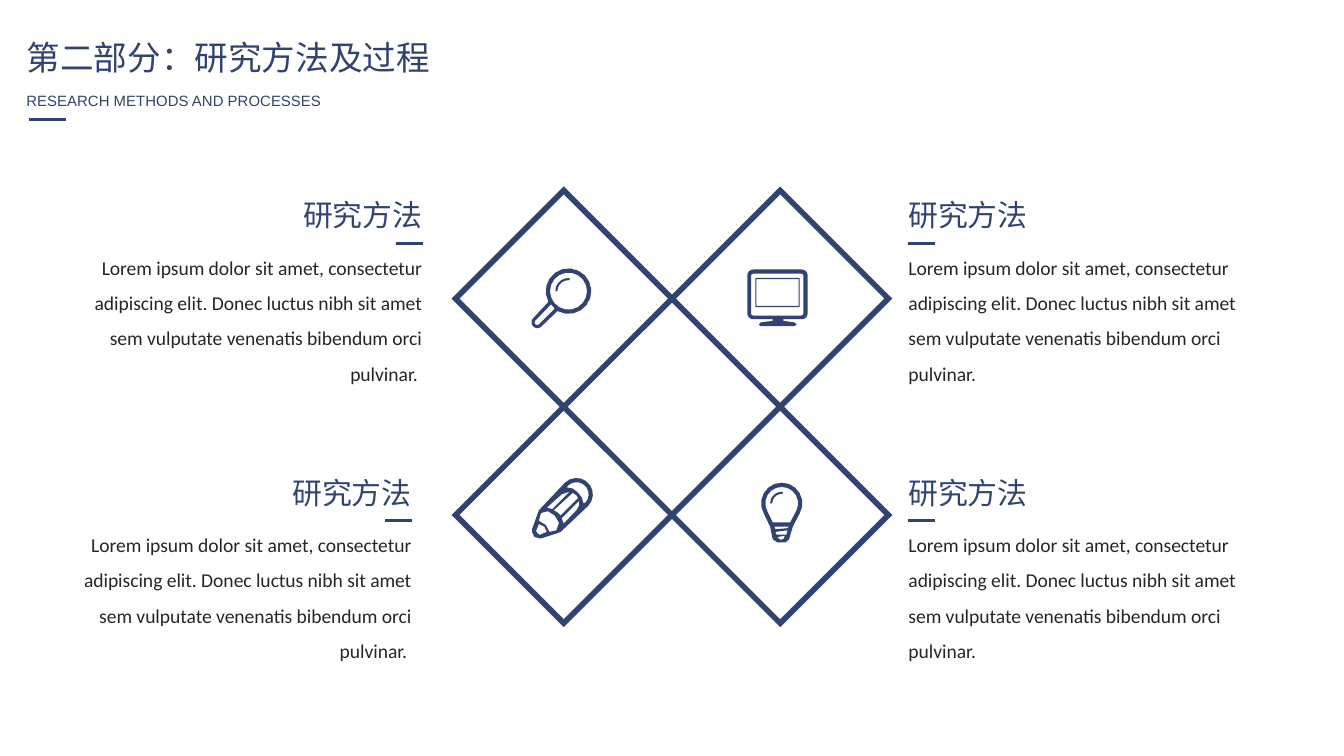
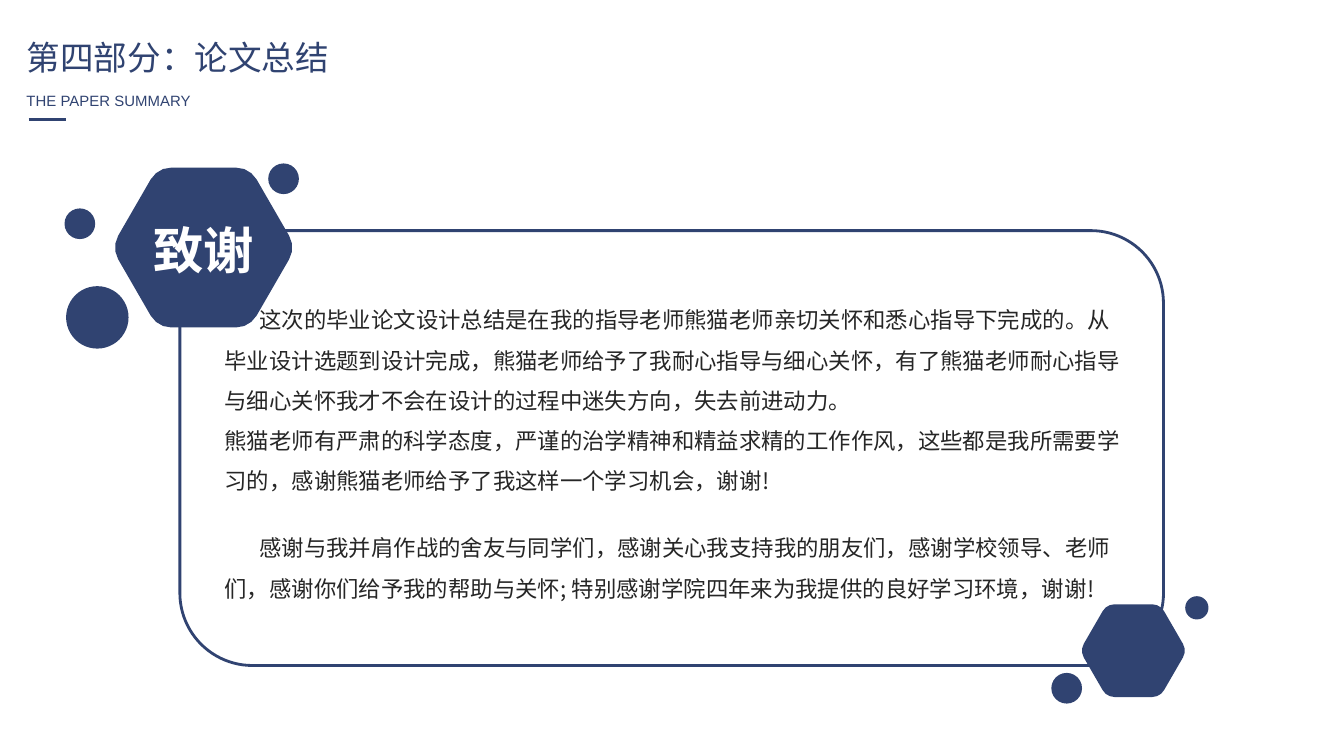
"""Builds two thesis slides: research methods and acknowledgements."""
from dataclasses import dataclass
from itertools import product
from math import cos, radians, sin

from lxml.etree import SubElement
from pptx import Presentation
from pptx.dml.color import RGBColor
from pptx.enum.shapes import MSO_CONNECTOR as Connector, MSO_SHAPE as Preset
from pptx.enum.text import MSO_ANCHOR as Anchor, MSO_AUTO_SIZE as AutoSize, PP_ALIGN as Align
from pptx.oxml.ns import qn
from pptx.shapes.autoshape import Shape
from pptx.slide import Slide
from pptx.util import Cm, Pt

Contour = list[tuple[float, float]]


@dataclass(frozen=True)
class Style:
    size: float
    face: str
    color: RGBColor
    bold: bool = False
    spacing: float = 1.0


@dataclass(frozen=True)
class Theme:
    navy = RGBColor(0x30, 0x43, 0x71)
    ink = RGBColor(0x26, 0x26, 0x26)
    white = RGBColor(0xFF, 0xFF, 0xFF)
    cjk = "Noto Sans CJK SC"
    title = Style(18, cjk, navy)
    subtitle = Style(8, "Arial", navy)
    heading = Style(16, cjk, navy)
    detail = Style(10.5, "Calibri", ink, spacing=1.5)
    essay = Style(12, cjk, ink, spacing=1.5)
    badge = Style(27, "Roboto Condensed", white, bold=True)
    rule_width = 1.5
    frame_width = 3


THEME = Theme()


@dataclass(frozen=True)
class Box:
    left: float
    top: float
    width: float
    height: float


@dataclass(frozen=True)
class Header:
    title: str
    title_width: float
    subtitle: str
    subtitle_width: float


@dataclass(frozen=True)
class Method:
    left: float
    top: float
    align: Align


@dataclass(frozen=True)
class Dot:
    left: float
    top: float
    size: float


@dataclass(frozen=True)
class Passage:
    box: Box
    paragraphs: list[str]


def arc(x: float, y: float, radius: float, start: float, end: float) -> Contour:
    """Return points about every 20 degrees along a circular arc."""
    steps = max(1, round(abs(end - start) / 20))
    angles = [radians(start + (end - start) * i / steps) for i in range(steps + 1)]
    return [(x + radius * cos(a), y + radius * sin(a)) for a in angles]


def rounded(left: float, top: float, right: float, bottom: float, radius: float) -> Contour:
    """Return the outline of a rectangle with rounded corners."""
    corners = [(right - radius, bottom - radius), (left + radius, bottom - radius),
               (left + radius, top + radius), (right - radius, top + radius)]
    return [point for i, (x, y) in enumerate(corners)
            for point in arc(x, y, radius, 90 * i, 90 * i + 90)]


def rounded_hexagon(scale: float) -> Contour:
    """Return the outline of a hexagon with rounded corners."""
    return [point for angle in range(0, 360, 60)
            for point in arc(123 * scale * cos(radians(angle)), 123 * scale * sin(radians(angle)),
                             44.5 * scale, angle - 30, angle + 30)]


def glint(x: float, y: float, outer: float, inner: float) -> Contour:
    """Return a thin reflection along the upper left of a circle."""
    return arc(x, y, outer, 180, 275) + arc(x, y, inner, 275, 180)


MAGNIFIER = [
    [[*arc(9, -14, 43, 152, 479), *arc(-50, 45, 11, 45, 225)],
     arc(9, -14, 35, 0, 340),
     [(-24, 11), (-17, 19), *arc(-50, 45, 5, 45, 225)]],
    [glint(9, -14, 25, 21)],
]
MONITOR = [
    [rounded(-47, -39, 37, 16, 2), rounded(-45, -37, 35, 14, 1)],
    [rounded(-62, -55, 52, 39, 11), rounded(-55, -47, 44, 32, 4),
     [(-14, 39), (-14, 42), (-37, 45), (-40, 49), (-37, 52),
      (27, 52), (31, 49), (27, 45), (6, 42), (6, 39)]],
]
PENCIL = [
    [[*arc(24, -39, 31, 225, 405), (-6, 32), (-11, 34), (-42, 44), (-47, 44), (-56, 41),
      (-60, 32), (-60, 27), (-50, -1), (-47, -9)],
     [*arc(24, -39, 23, -135, 45), (37, -22), (34, -33), (27, -42), (17, -50), (6, -52)],
     [(-27, 32), (-34, 19), (-47, 11), (-44, -1), (-42, -4), (-30, -7), (-17, 1),
      (-9, 15), (-14, 29)],
     [(-44, 37), (-47, 37), (-52, 32), (-52, 29), (-47, 17), (-37, 22), (-32, 32)],
     [(-22, -11), (-32, -14), (-4, -39), (11, -44)],
     [(-6, 1), (-11, -4), (-19, -9), (17, -42), (24, -37), (27, -32)],
     [(-1, 14), (-4, 6), (29, -27), (29, -18), (24, -9), (-1, 17)]],
]
BULB = [
    [[*arc(3, -22, 39, 150, 390), (24, 22), (17, 46), (10, 52), (-5, 52), (-14, 46), (-19, 22)],
     [*arc(3, -22, 31, 150, 390), (19, 14), (-14, 14)],
     [(1, 47), (-6, 42), (9, 39), (7, 45)],
     [(-9, 27), (-11, 22), (17, 22), (14, 25)],
     [(12, 37), (-7, 37), (-9, 32), (14, 29)]],
    [glint(3, -22, 22, 18)],
]

LOREM = ("Lorem ipsum dolor sit amet, consectetur adipiscing elit. Donec luctus nibh sit amet "
         "sem vulputate venenatis bibendum orci pulvinar.")
METHODS = [Method(1.45, 3.6, Align.RIGHT), Method(1.25, 8.84, Align.RIGHT),
           Method(16.92, 8.84, Align.LEFT), Method(16.92, 3.6, Align.LEFT)]
DOTS = [Dot(1.25, 5.41, 1.18), Dot(1.22, 3.94, 0.58), Dot(5.07, 3.09, 0.58),
        Dot(19.87, 12.72, 0.58), Dot(22.4, 11.27, 0.44)]
PASSAGES = [
    Passage(Box(3.99, 5.41, 17.62, 4.11), [
        "这次的毕业论文设计总结是在我的指导老师熊猫老师亲切关怀和悉心指导下完成的。从毕业设计选题到设计完成，"
        "熊猫老师给予了我耐心指导与细心关怀，有了熊猫老师耐心指导与细心关怀我才不会在设计的过程中迷失方向，失去前进动力。",
        "熊猫老师有严肃的科学态度，严谨的治学精神和精益求精的工作作风，这些都是我所需要学习的，"
        "感谢熊猫老师给予了我这样一个学习机会，谢谢!"]),
    Passage(Box(3.99, 9.72, 17.42, 1.7), [
        "感谢与我并肩作战的舍友与同学们，感谢关心我支持我的朋友们，感谢学校领导、老师们，"
        "感谢你们给予我的帮助与关怀; 特别感谢学院四年来为我提供的良好学习环境，谢谢!"]),
]


def write(shape: Shape, paragraphs: list[str], style: Style,
          align: Align = Align.LEFT, wrap: bool = True) -> None:
    """Fill a shape with styled, unbulleted paragraphs."""
    frame = shape.text_frame
    frame.text = "\n".join(paragraphs)
    frame.word_wrap = wrap
    frame.auto_size = AutoSize.SHAPE_TO_FIT_TEXT
    frame.vertical_anchor = Anchor.TOP
    for para in frame.paragraphs:
        para.alignment = align
        para.line_spacing = style.spacing
        para.space_before = Pt(0)
        font = para.font
        font.size, font.name, font.bold = Pt(style.size), style.face, style.bold
        font.color.rgb = style.color
        properties = para._p.pPr
        defaults = properties.find(qn("a:defRPr"))
        SubElement(defaults, qn("a:ea")).set("typeface", THEME.cjk)
        properties.set("marL", "0")
        properties.set("indent", "0")
        if shape.is_placeholder:
            defaults.addprevious(SubElement(properties, qn("a:buNone")))


def place(shape: Shape, box: Box) -> None:
    """Move and size a shape."""
    shape.left, shape.top = Cm(box.left), Cm(box.top)
    shape.width, shape.height = Cm(box.width), Cm(box.height)


def add_text(page: Slide, box: Box, text: str, style: Style,
             align: Align = Align.LEFT, wrap: bool = True) -> None:
    """Add a text box."""
    shape = page.shapes.add_textbox(Cm(box.left), Cm(box.top), Cm(box.width), Cm(box.height))
    write(shape, [text], style, align, wrap)


def add_rule(page: Slide, left: float, top: float, length: float) -> None:
    """Add a short horizontal accent line."""
    rule = page.shapes.add_connector(
        Connector.STRAIGHT, Cm(left), Cm(top), Cm(left + length), Cm(top))
    rule.line.color.rgb = THEME.navy
    rule.line.width = Pt(THEME.rule_width)
    SubElement(rule._element.spPr, qn("a:effectLst"))


def paint(shape: Shape, line_width: float | None = None) -> None:
    """Outline a shape in navy, or fill it when no line width is given."""
    shape.shadow.inherit = False
    if line_width is None:
        shape.fill.solid()
        shape.fill.fore_color.rgb = THEME.navy
        shape.line.fill.background()
    else:
        shape.fill.background()
        shape.line.color.rgb = THEME.navy
        shape.line.width = Pt(line_width)
        SubElement(shape._element.spPr.find(qn("a:ln")), qn("a:miter")).set("lim", "800000")


def add_preset(page: Slide, kind: Preset, box: Box, line_width: float | None = None) -> Shape:
    """Add a painted preset shape."""
    shape = page.shapes.add_shape(
        kind, Cm(box.left), Cm(box.top), Cm(box.width), Cm(box.height))
    paint(shape, line_width)
    return shape


def add_outline(page: Slide, x: float, y: float, contours: list[Contour]) -> None:
    """Add a filled freeform around a centre, with points in tenths of a millimetre."""
    scaled = [[(px * Cm(0.01), py * Cm(0.01)) for px, py in contour] for contour in contours]
    builder = page.shapes.build_freeform(*scaled[0][0])
    for i, (first, *rest) in enumerate(scaled):
        if i:
            builder.move_to(*first)
        builder.add_line_segments(rest, close=True)
    paint(builder.convert_to_shape(Cm(x), Cm(y)))


def add_page(deck: Presentation, layout: int, header: Header) -> Slide:
    """Add a slide with the shared title band."""
    page = deck.slides.add_slide(deck.slide_layouts[layout])
    place(page.shapes.title, Box(0.25, 0.58, header.title_width, 1.02))
    write(page.shapes.title, [header.title], THEME.title, wrap=False)
    add_text(page, Box(0.25, 1.6, header.subtitle_width, 0.61), header.subtitle,
             THEME.subtitle, wrap=False)
    add_rule(page, 0.54, 2.26, 0.71)
    return page


def add_method(page: Slide, method: Method) -> None:
    """Add a heading, a description and an accent line."""
    width, heading_width, inset, rule = 6.78, 2.79, 0.24, 0.51
    on_right = method.align == Align.RIGHT
    heading_left = method.left + (width - heading_width if on_right else 0)
    rule_left = method.left + (width - inset - rule if on_right else inset)
    add_text(page, Box(heading_left, method.top, heading_width, 0.94), "研究方法",
             THEME.heading, method.align, wrap=False)
    add_text(page, Box(method.left, method.top + 0.89, width, 2.95),
             LOREM + " " * on_right, THEME.detail, method.align)
    add_rule(page, rule_left, method.top + 1, rule)


def build_methods(deck: Presentation) -> None:
    """Build the research methods slide."""
    page = add_page(deck, 5, Header("第二部分：研究方法及过程", 8.2,
                                    "RESEARCH METHODS AND PROCESSES", 6.15))
    left, top, side = 8.61, 3.6, 4.09
    corners = [(left + column * side, top + row * side)
               for row, column in product(range(2), repeat=2)]
    for x, y in corners:
        add_preset(page, Preset.DIAMOND, Box(x, y, side, side), THEME.frame_width)
    for method in METHODS:
        add_method(page, method)
    for (x, y), icon in zip(corners, [MAGNIFIER, MONITOR, PENCIL, BULB]):
        for contours in icon:
            add_outline(page, x + side / 2, y + side / 2, contours)


def build_thanks(deck: Presentation) -> None:
    """Build the acknowledgements slide."""
    page = add_page(deck, 3, Header("第四部分：论文总结", 6.27, "THE PAPER SUMMARY", 3.66))
    add_preset(page, Preset.ROUNDED_RECTANGLE, Box(3.4, 4.36, 18.59, 8.22), THEME.rule_width)
    for dot in DOTS:
        add_preset(page, Preset.OVAL, Box(dot.left, dot.top, dot.size, dot.size))
    add_outline(page, 21.42, 12.3, [rounded_hexagon(0.58)])
    for body, passage in zip(list(page.placeholders)[1:], PASSAGES):
        place(body, passage.box)
        write(body, passage.paragraphs, THEME.essay)
        body.text_frame.paragraphs[0]._p.pPr.set("indent", str(Cm(0.66)))
    add_outline(page, 3.85, 4.68, [rounded_hexagon(1)])
    badge = add_preset(page, Preset.RECTANGLE, Box(2.63, 4.01, 2.44, 1.42))
    write(badge, ["致谢"], THEME.badge, Align.CENTER)


def main() -> None:
    """Build and save the deck."""
    deck = Presentation()
    deck.slide_width, deck.slide_height = Cm(25.4), Cm(14.29)
    build_methods(deck)
    build_thanks(deck)
    deck.save("out.pptx")


if __name__ == "__main__":
    main()
